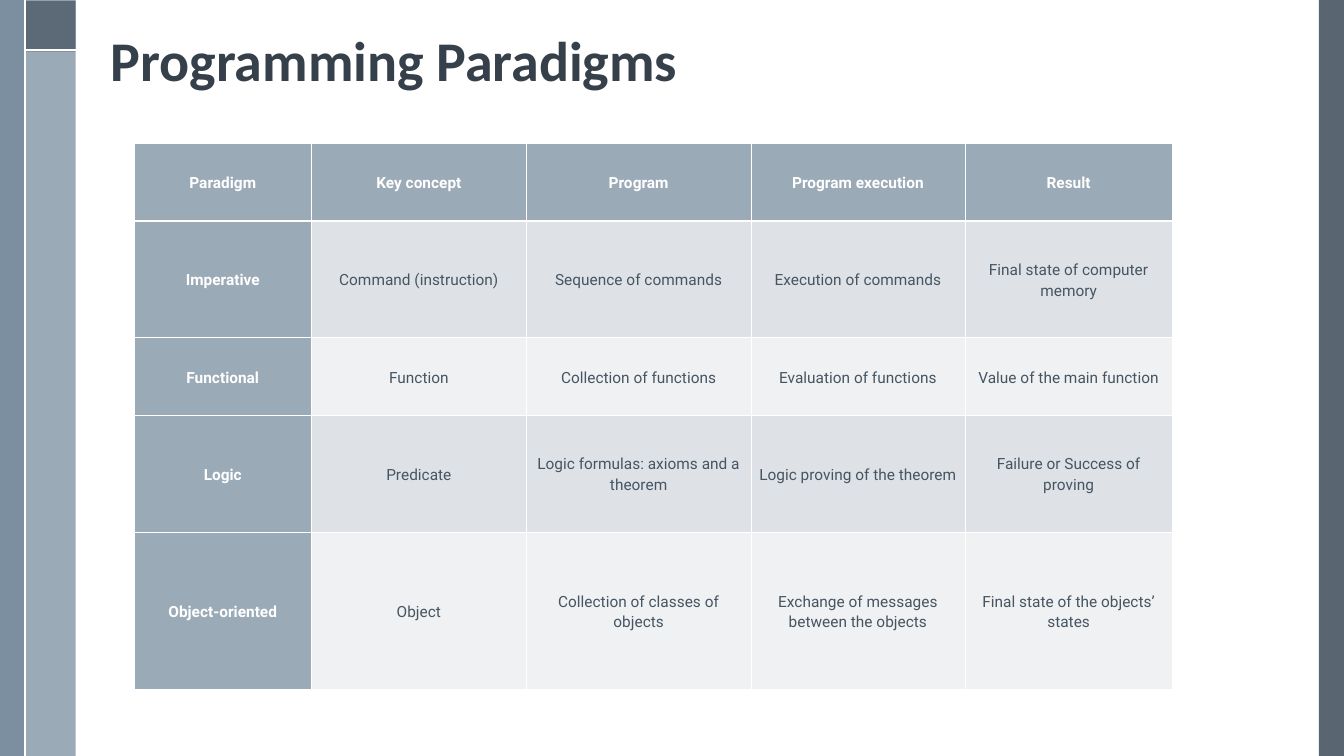
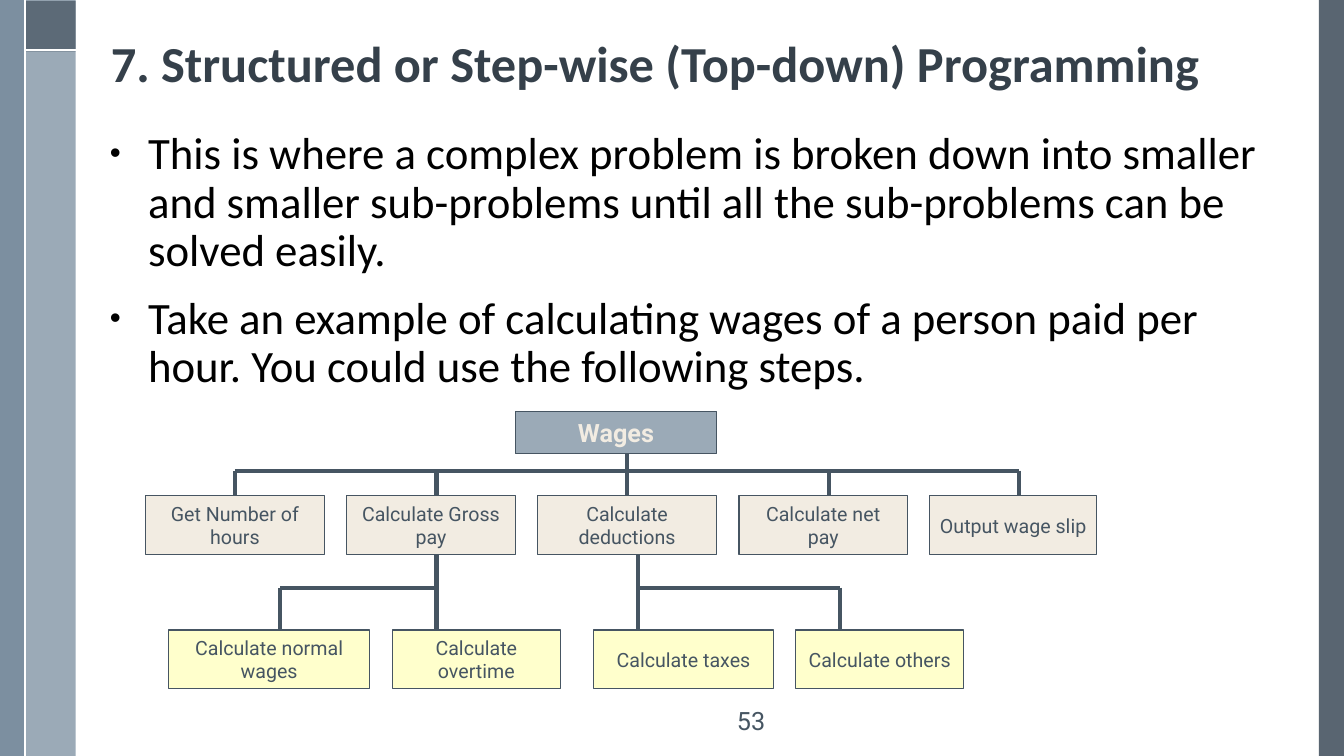
from dataclasses import dataclass, replace
from typing import Optional

from lxml import etree
from pptx import Presentation
from pptx.dml.color import RGBColor
from pptx.enum.shapes import MSO_CONNECTOR, MSO_SHAPE
from pptx.enum.text import MSO_ANCHOR, PP_ALIGN
from pptx.oxml.ns import qn
from pptx.util import Emu, Pt

RECTANGLE = MSO_SHAPE.RECTANGLE
STRAIGHT = MSO_CONNECTOR.STRAIGHT
LEFT, CENTER = PP_ALIGN.LEFT, PP_ALIGN.CENTER
TOP, MIDDLE, BOTTOM = MSO_ANCHOR.TOP, MSO_ANCHOR.MIDDLE, MSO_ANCHOR.BOTTOM

# Lengths are px, 100 to the inch
EMU_PER_PX = 9144
PAGE_WIDTH, PAGE_HEIGHT = 1333, 750

# Colours
WHITE, BLACK = "FFFFFF", "000000"
SLATE, STEEL, MIST = "475562", "6A8093", "9BAAB7"
INK, TITLE_INK = "465562", "35404A"
CREAM, YELLOW = "F2ECE2", "FFFFCC"
ROW_FILLS = ("DEE2E6", "EFF1F3")


@dataclass(frozen=True)
class TextStyle:
    size: int
    color: str = INK
    font: str = "Roboto"
    bold: bool = False
    align: PP_ALIGN = LEFT
    anchor: MSO_ANCHOR = TOP
    line_spacing: Optional[float] = None
    space_before: int = 0
    bullet: bool = False
    wrap: bool = True


@dataclass(frozen=True)
class Band:
    left: int
    top: int
    width: int
    height: int
    color: str
    opacity: int = 100


@dataclass(frozen=True)
class NodeRow:
    left: int
    top: int
    height: int
    fill: str
    style: TextStyle
    nodes: tuple[tuple[str, int], ...]  # label and width


@dataclass(frozen=True)
class Branch:
    stem: int
    top: int
    bus: int
    bottom: int
    drops: tuple[int, ...]


# Text styles
TITLE = TextStyle(40, TITLE_INK, "Calibri", True, anchor=BOTTOM, line_spacing=0.9)
LONG_TITLE = replace(TITLE, size=36)
BODY = TextStyle(32, BLACK, "Calibri", line_spacing=0.9, space_before=14, bullet=True)
PAGE_NUMBER = TextStyle(18)
CELL = TextStyle(11, align=CENTER, anchor=MIDDLE, line_spacing=1.15)
HEADING_CELL = replace(CELL, color=WHITE, bold=True)
NODE = TextStyle(14, align=CENTER, anchor=MIDDLE)
ROOT_NODE = replace(NODE, size=18, color=CREAM, bold=True, wrap=False)

# Page frame
BANDS = (
    Band(1308, 0, 25, 750, SLATE, 90),
    Band(26, 0, 49, 750, MIST),
    Band(0, 0, 25, 750, STEEL, 88),
    Band(25, 1, 50, 50, SLATE, 75),
)
BAND_RULES = ((25, 50, 75, 50), (25, 0, 25, 750))

# Paradigm table
TABLE_LEFT, TABLE_TOP = 133, 142
COLUMN_WIDTHS = (176, 213, 223, 212, 206)
ROW_HEIGHTS = (77, 116, 77, 116, 156)
THIN, THICK = 0.45, 1.47
PARADIGMS = (
    ("Paradigm", "Key concept", "Program", "Program execution", "Result"),
    ("Imperative", "Command (instruction)", "Sequence of commands",
     "Execution of commands", "Final state of computer memory"),
    ("Functional", "Function", "Collection of functions",
     "Evaluation of functions", "Value of the main function"),
    ("Logic", "Predicate", "Logic formulas: axioms and a theorem",
     "Logic proving of the theorem", "Failure or Success of proving"),
    ("Object-oriented", "Object", "Collection of classes of objects",
     "Exchange of messages between the objects", "Final state of the objects’ states"),
)

# Wages diagram
NODE_GAP = 22
STEPS = (
    "This is where a complex problem is broken down into smaller and smaller "
    "sub-problems until all the sub-problems can be solved easily.",
    "Take an example of calculating wages of a person paid per hour. "
    "You could use the following steps.",
)
NODE_ROWS = (
    NodeRow(511, 408, 42, MIST, ROOT_NODE, (("Wages", 200),)),
    NodeRow(144, 492, 58, CREAM, NODE, (
        ("Get Number of hours", 178), ("Calculate Gross pay", 167),
        ("Calculate deductions", 178), ("Calculate net pay", 167),
        ("Output wage slip", 166))),
    NodeRow(167, 625, 58, YELLOW, NODE, (
        ("Calculate normal wages", 200), ("Calculate overtime", 167))),
    NodeRow(589, 625, 58, YELLOW, NODE, (
        ("Calculate taxes", 178), ("Calculate others", 167))),
)
BRANCHES = (
    Branch(622, 450, 467, 492, (233, 433, 622, 822, 1011)),
    Branch(433, 550, 583, 625, (278, 433)),
    Branch(633, 550, 583, 625, (633, 833)),
)


def px(length: int) -> Emu:
    return Emu(length * EMU_PER_PX)


def rgb(color: str) -> RGBColor:
    return RGBColor.from_string(color)


def apply(target, formats: dict) -> None:
    for name, value in formats.items():
        setattr(target, name, value)


def add_bullet(para) -> None:
    props = para._p.get_or_add_pPr()
    props.set("marL", str(px(38)))
    props.set("indent", str(-px(38)))
    color = etree.SubElement(props, qn("a:buClr"))
    etree.SubElement(color, qn("a:srgbClr"), val=BLACK)
    etree.SubElement(props, qn("a:buSzPct"), val="70000")
    etree.SubElement(props, qn("a:buFont"), typeface="Arial")
    etree.SubElement(props, qn("a:buChar"), char="•")


def write(frame, texts: tuple[str, ...], style: TextStyle) -> None:
    for index, text in enumerate(texts):
        para = frame.add_paragraph() if index else frame.paragraphs[0]
        if style.bullet:
            add_bullet(para)
        apply(para, {
            "alignment": style.align,
            "line_spacing": style.line_spacing,
            "space_before": Pt(style.space_before if index else 0),
        })
        span = para.add_run()
        span.text = text
        apply(span.font, {"name": style.font, "size": Pt(style.size), "bold": style.bold})
        span.font.color.rgb = rgb(style.color)


def fill_box(box, texts: tuple[str, ...], style: TextStyle) -> None:
    apply(box.text_frame, {"word_wrap": style.wrap, "vertical_anchor": style.anchor})
    write(box.text_frame, texts, style)


def add_text(page, left: int, top: int, width: int, height: int,
             texts: tuple[str, ...], style: TextStyle) -> None:
    box = page.shapes.add_textbox(px(left), px(top), px(width), px(height))
    fill_box(box, texts, style)


def add_box(page, left: int, top: int, width: int, height: int, color: str):
    box = page.shapes.add_shape(RECTANGLE, px(left), px(top), px(width), px(height))
    box.shadow.inherit = False
    box.fill.solid()
    box.fill.fore_color.rgb = rgb(color)
    box.line.fill.background()
    return box


def add_line(page, start_x: int, start_y: int, end_x: int, end_y: int,
             color: str, weight: float) -> None:
    line = page.shapes.add_connector(STRAIGHT, px(start_x), px(start_y), px(end_x), px(end_y))
    line.line.color.rgb = rgb(color)
    line.line.width = Pt(weight)
    etree.SubElement(line._element.spPr, qn("a:effectLst"))


def add_page(deck, title: str, style: TextStyle):
    page = deck.slides.add_slide(deck.slide_layouts[6])
    for band in BANDS:
        box = add_box(page, band.left, band.top, band.width, band.height, band.color)
        if band.opacity < 100:
            color = box._element.spPr.find(".//" + qn("a:srgbClr"))
            etree.SubElement(color, qn("a:alpha"), val=str(band.opacity * 1000))
    for rule in BAND_RULES:
        add_line(page, *rule, WHITE, 1.5)
    add_text(page, 100, 19, 1192, 79, (title,), style)
    return page


def set_borders(cell, weights: dict[str, float]) -> None:
    props = cell._tc.get_or_add_tcPr()
    for side, weight in weights.items():
        border = etree.SubElement(props, qn(f"a:ln{side}"), w=str(Pt(weight)))
        paint = etree.SubElement(border, qn("a:solidFill"))
        etree.SubElement(paint, qn("a:srgbClr"), val=WHITE)


def add_paradigm_table(page) -> None:
    frame = page.shapes.add_table(
        len(ROW_HEIGHTS), len(COLUMN_WIDTHS), px(TABLE_LEFT), px(TABLE_TOP),
        px(sum(COLUMN_WIDTHS)), px(sum(ROW_HEIGHTS)))
    table = frame.table
    apply(table, {"first_row": False, "horz_banding": False})
    for column, width in zip(table.columns, COLUMN_WIDTHS):
        column.width = px(width)
    for row, height in zip(table.rows, ROW_HEIGHTS):
        row.height = px(height)
    for row_index, labels in enumerate(PARADIGMS):
        for column_index, label in enumerate(labels):
            cell = table.cell(row_index, column_index)
            heading = row_index == 0 or column_index == 0
            set_borders(cell, {
                "L": THIN, "R": THIN,
                "T": THICK if row_index == 1 else THIN,
                "B": THICK if row_index == 0 else THIN,
            })
            cell.fill.solid()
            cell.fill.fore_color.rgb = rgb(MIST if heading else ROW_FILLS[(row_index - 1) % 2])
            apply(cell, {
                "margin_left": px(8), "margin_right": px(8),
                "margin_top": px(5), "margin_bottom": px(5),
                "vertical_anchor": MIDDLE,
            })
            write(cell.text_frame, (label,), HEADING_CELL if heading else CELL)


def add_node_row(page, row: NodeRow) -> None:
    left = row.left
    for label, width in row.nodes:
        box = add_box(page, left, row.top, width, row.height, row.fill)
        box.line.color.rgb = rgb(INK)
        box.line.width = Pt(0.75)
        fill_box(box, (label,), row.style)
        left += width + NODE_GAP


def add_branch(page, branch: Branch) -> None:
    lines = [
        (branch.drops[0], branch.bus, branch.drops[-1], branch.bus),
        (branch.stem, branch.top, branch.stem, branch.bus),
    ]
    lines += [(drop, branch.bus, drop, branch.bottom) for drop in branch.drops]
    for line in lines:
        add_line(page, *line, INK, 3)


def main() -> None:
    deck = Presentation()
    apply(deck, {"slide_width": px(PAGE_WIDTH), "slide_height": px(PAGE_HEIGHT)})

    # Paradigms
    page = add_page(deck, "Programming Paradigms", TITLE)
    add_paradigm_table(page)

    # Top-down programming
    page = add_page(deck, "7. Structured or Step-wise (Top-down) Programming", LONG_TITLE)
    add_text(page, 721, 695, 435, 40, ("53",), PAGE_NUMBER)
    add_text(page, 99, 125, 1192, 592, STEPS, BODY)
    for row in NODE_ROWS:
        add_node_row(page, row)
    for branch in BRANCHES:
        add_branch(page, branch)

    deck.save("out.pptx")


if __name__ == "__main__":
    main()
